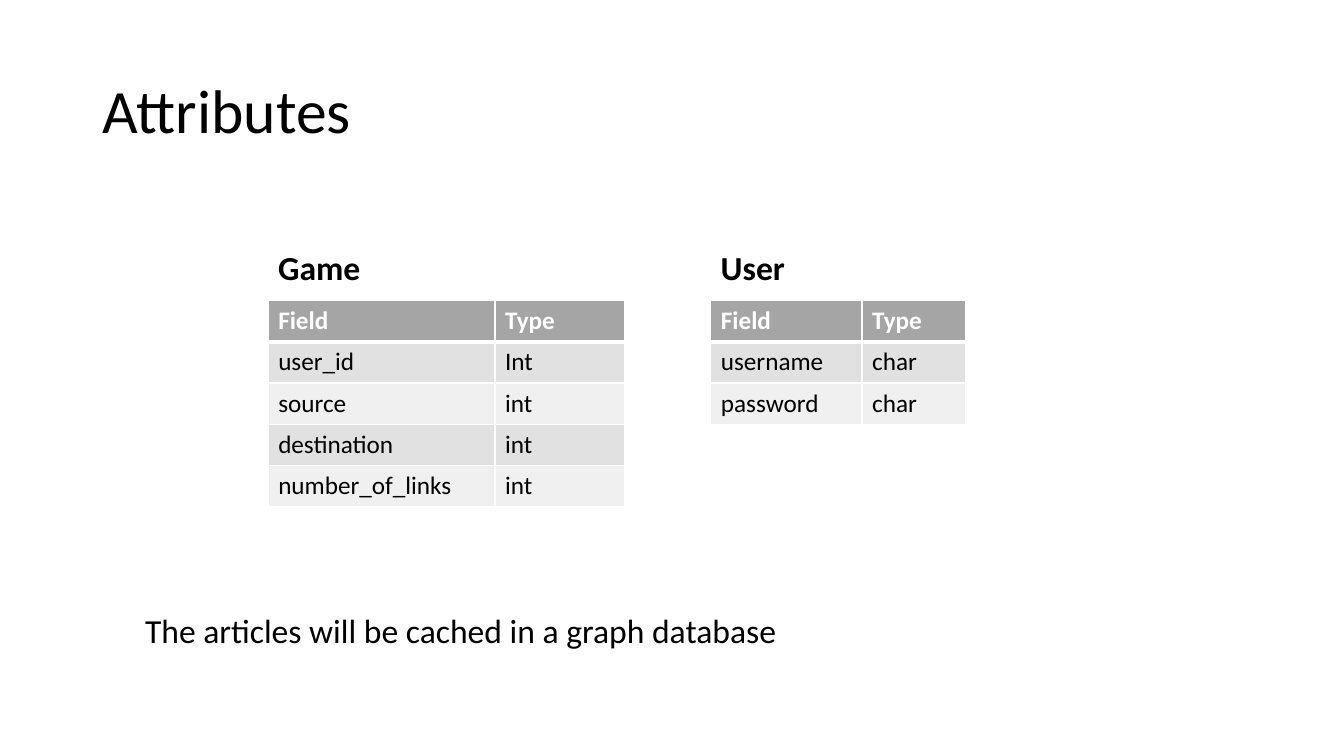
import pptx
import pptx.util
import pptx.dml.color
import pptx.enum.text
import pptx.oxml
import pptx.oxml.ns

Inches = pptx.util.Inches
Pt = pptx.util.Pt
FONT = "Calibri"
COLORS = {
    "text": "000000",
    "white": "FFFFFF",
    "header": "A5A5A5",
    "odd": "E1E1E1",
    "even": "F0F0F0",
}
ROW_HEIGHT = 0.41
TABLE_TOP = 2.98


def format_text(frame, size, color="text", bold=False):
    for para in frame.paragraphs:
        for span in para.runs:
            span.font.name = FONT
            span.font.size = Pt(size)
            span.font.bold = bold
            span.font.color.rgb = pptx.dml.color.RGBColor.from_string(COLORS[color])


def add_border(cell, side, width):
    line = pptx.oxml.parse_xml(
        f'<a:{side} {pptx.oxml.ns.nsdecls("a")} w="{Pt(width)}"><a:solidFill>'
        f'<a:srgbClr val="{COLORS["white"]}"/></a:solidFill></a:{side}>'
    )
    cell._tc.get_or_add_tcPr().append(line)


deck = pptx.Presentation()
deck.slide_width = Inches(13.33)
deck.slide_height = Inches(7.5)
page = deck.slides.add_slide(deck.slide_layouts[5])

title = page.shapes.title
title.left, title.top = Inches(0.92), Inches(0.4)
title.width, title.height = Inches(11.5), Inches(1.45)
title.text_frame.text = "Attributes"
title.text_frame.vertical_anchor = pptx.enum.text.MSO_ANCHOR.MIDDLE
title.text_frame.paragraphs[0].alignment = pptx.enum.text.PP_ALIGN.LEFT
title.text_frame.paragraphs[0].line_spacing = 0.9
format_text(title.text_frame, 44)

tables = [
    (2.66, [2.25, 1.29], [
        ("Field", "Type"),
        ("user_id", "Int"),
        ("source", "int"),
        ("destination", "int"),
        ("number_of_links", "int"),
    ]),
    (7.05, [1.5, 1.03], [
        ("Field", "Type"),
        ("username", "char"),
        ("password", "char"),
    ]),
]

for left, widths, rows in tables:
    table = page.shapes.add_table(
        len(rows), len(widths), Inches(left), Inches(TABLE_TOP),
        Inches(sum(widths)), Inches(ROW_HEIGHT * len(rows)),
    ).table
    for column, width in zip(table.columns, widths):
        column.width = Inches(width)
    for row_index, row in enumerate(rows):
        header = row_index == 0
        fill = "header" if header else "odd" if row_index % 2 else "even"
        for column_index, text in enumerate(row):
            cell = table.cell(row_index, column_index)
            cell.text_frame.text = text
            format_text(cell.text_frame, 18, "white" if header else "text", header)
            add_border(cell, "lnL", 1)
            add_border(cell, "lnR", 1)
            add_border(cell, "lnT", 3 if row_index == 1 else 1)
            add_border(cell, "lnB", 3 if header else 1)
            cell.fill.solid()
            cell.fill.fore_color.rgb = pptx.dml.color.RGBColor.from_string(COLORS[fill])

labels = [
    ("Game", 2.66, 2.4, 3.02, True, True),
    ("User", 7.05, 2.4, 0.85, True, False),
    ("The articles will be cached in a graph database", 1.34, 6, 6.54, False, False),
]

for text, left, top, width, bold, wrap in labels:
    box = page.shapes.add_textbox(Inches(left), Inches(top), Inches(width), Inches(0.5))
    box.text_frame.word_wrap = wrap
    box.text_frame.auto_size = pptx.enum.text.MSO_AUTO_SIZE.SHAPE_TO_FIT_TEXT
    box.text_frame.text = text
    format_text(box.text_frame, 24, bold=bold)

deck.save("out.pptx")
